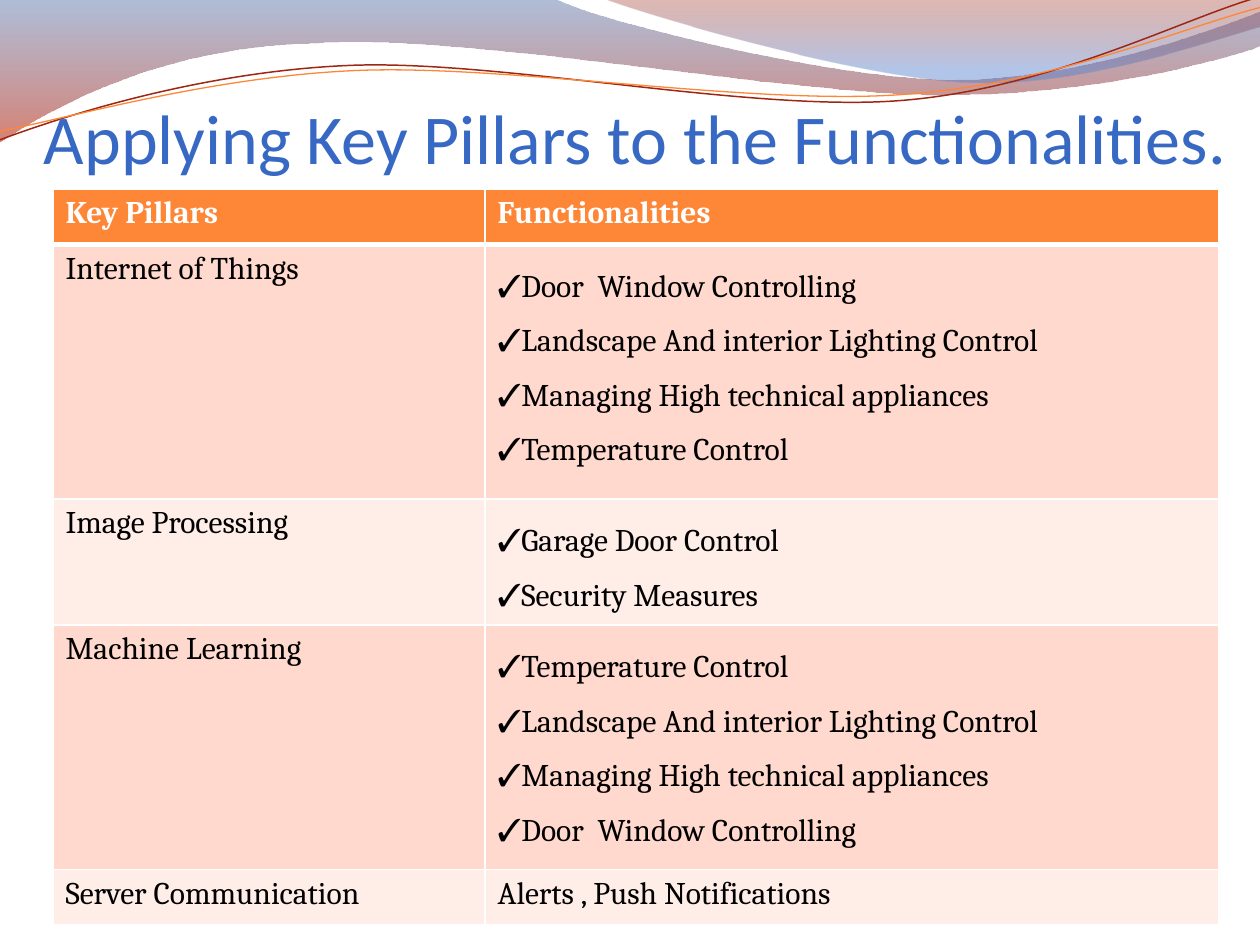
from dataclasses import dataclass

from lxml import etree
from pptx import Presentation
from pptx import util as u
from pptx.dml.color import RGBColor
from pptx.enum import text
from pptx.oxml.ns import qn


@dataclass(frozen=True)
class Theme:
    title_font: str = "Calibri"
    body_font: str = "Cambria"
    title_size: int = 40
    body_size: int = 18
    title: str = "3668C4"
    white: str = "FFFFFF"
    black: str = "000000"
    orange: str = "FE8637"
    dark_red: str = "9E2713"
    bands: tuple = ("FFD9CE", "FFEDE8")
    # Gradient stops: position, colour, opacity, all but colour in percent
    wide_wave: tuple = ((0, "4F6EA8", 45), (100, "B61A00", 55))
    corner_wave: tuple = ((0, "951500", 30), (80, "5681D1", 45))


THEME = Theme()

# Each outline is a start point, then points (two numbers)
# or Bezier segments (six numbers), in inches.
WIDE_WAVE = [
    (0, 0), (4.4, -0.01),
    (4.76, 0.17, 6.64, 0.63, 7.58, 0.63), (8.53, 0.63, 9.58, 0.26, 10, 0.09),
    (10.01, 0.36),
    (9.83, 0.44, 8.7, 0.76, 7.46, 0.75), (6.22, 0.75, 3.82, 0.28, 2.57, 0.34),
    (1.29, 0.36, 0.46, 0.83, -0.01, 1.13), (0, 0),
]
CORNER_WAVE = [
    (4.79, -0.01),
    (5.09, 0.11, 6.82, 0.62, 7.69, 0.65), (8.56, 0.69, 9.61, 0.32, 10, 0.21),
    (10, 0), (4.79, -0.01),
]
RED_LINE = [
    (0, 1.11),
    (0.48, 0.93, 1.58, 0.57, 2.77, 0.52), (3.95, 0.47, 5.93, 0.89, 7.13, 0.8),
    (8.33, 0.71, 9.38, 0.15, 9.98, -0.02),
]
ORANGE_LINE = [
    (0, 1.04),
    (0.47, 0.96, 1.64, 0.61, 2.83, 0.56), (4.03, 0.51, 5.97, 0.84, 7.17, 0.75),
    (8.36, 0.67, 9.41, 0.21, 10, 0.06),
]

DOORS = "Door  Window Controlling"
LIGHTING = "Landscape And interior Lighting Control"
APPLIANCES = "Managing High technical appliances"
TEMPERATURE = "Temperature Control"
HEADER = ("Key Pillars", "Functionalities")
# A list becomes check-marked lines, a string a plain line.
PILLARS = [
    ("Internet of Things", [DOORS, LIGHTING, APPLIANCES, TEMPERATURE]),
    ("Image Processing", ["Garage Door Control", "Security Measures"]),
    ("Machine Learning", [TEMPERATURE, LIGHTING, APPLIANCES, DOORS]),
    ("Server Communication", "Alerts , Push Notifications"),
]
COLUMN_WIDTHS = (3.43, 5.82)
ROW_HEIGHTS = (0.44, 2.02, 0.62, 1.94, 0.44)


def rgb(value):
    return RGBColor.from_string(value)


def bend(shape, segments):
    """Merge the three straight lines of each six-number segment into a Bezier."""
    lines = iter(list(shape._element.iter(qn("a:lnTo"))))
    for segment in segments:
        first = next(lines)
        if len(segment) == 6:
            first.tag = qn("a:cubicBezTo")
            for line in (next(lines), next(lines)):
                first.append(line[0])
                line.getparent().remove(line)


def write(frame, lines, *, font, size, color, bold=False, align=None,
          spacing=None, bullet=None):
    """Fill a text frame with one paragraph per line."""
    for index, line in enumerate(lines):
        paragraph = frame.add_paragraph() if index else frame.paragraphs[0]
        paragraph.alignment = align
        paragraph.line_spacing = spacing
        run = paragraph.add_run()
        run.text = line
        run.font.name, run.font.size, run.font.bold = font, u.Pt(size), bold
        run.font.color.rgb = rgb(color)
        if bullet:
            properties = paragraph._p.get_or_add_pPr()
            properties.set("marL", "0")
            properties.set("indent", "0")
            etree.SubElement(properties, qn("a:buFont")).set("typeface", font)
            etree.SubElement(properties, qn("a:buChar")).set("char", bullet)


def set_borders(cell, color, **widths):
    """Draw the cell edges L, R, T and B with the given widths in points."""
    properties = cell._tc.get_or_add_tcPr()
    for index, (edge, width) in enumerate(widths.items()):
        line = etree.Element(qn(f"a:ln{edge}"), w=str(u.Pt(width)))
        fill = etree.SubElement(line, qn("a:solidFill"))
        etree.SubElement(fill, qn("a:srgbClr")).set("val", color)
        properties.insert(index, line)


class SlideBuilder:
    def __init__(self, slide, theme):
        self.slide = slide
        self.theme = theme

    def freeform(self, outline, close):
        points = [(u.Inches(part[i]), u.Inches(part[i + 1]))
                  for part in outline for i in range(0, len(part), 2)]
        builder = self.slide.shapes.build_freeform(*points[0])
        builder.add_line_segments(points[1:], close=close)
        shape = builder.convert_to_shape()
        bend(shape, outline[1:])
        shape.shadow.inherit = False
        return shape

    def wave(self, outline, stops):
        shape = self.freeform(outline, close=True)
        shape.line.fill.background()
        shape.fill.gradient()
        shape.fill.gradient_angle = 270
        for stop, (position, color, _) in zip(shape.fill.gradient_stops, stops):
            stop.position = position / 100
            stop.color.rgb = rgb(color)
        colors = shape._element.spPr.iter(qn("a:srgbClr"))
        for element, (_, _, opacity) in zip(list(colors), stops):
            etree.SubElement(element, qn("a:alpha")).set("val", str(opacity * 1000))

    def curve(self, outline, color, width):
        shape = self.freeform(outline, close=False)
        shape.fill.background()
        shape.line.color.rgb = rgb(color)
        shape.line.width = u.Pt(width)

    def title(self, wording, left, top, width, height):
        box = self.slide.shapes.add_textbox(*map(u.Inches, (left, top, width, height)))
        frame = box.text_frame
        frame.word_wrap = True
        frame.vertical_anchor = text.MSO_ANCHOR.BOTTOM
        frame.margin_left = frame.margin_right = frame.margin_bottom = 0
        frame.margin_top = u.Inches(0.05)
        write(frame, [wording], font=self.theme.title_font, size=self.theme.title_size,
              color=self.theme.title, align=text.PP_ALIGN.CENTER)

    def table(self, rows, left, top, column_widths, row_heights):
        theme = self.theme
        size = map(u.Inches, (left, top, sum(column_widths), sum(row_heights)))
        table = self.slide.shapes.add_table(len(rows), len(column_widths), *size).table
        for column, width in zip(table.columns, column_widths):
            column.width = u.Inches(width)
        for index, (row, height, contents) in enumerate(zip(table.rows, row_heights, rows)):
            row.height = u.Inches(height)
            header = index == 0
            fill = theme.orange if header else theme.bands[(index - 1) % 2]
            for cell, content in zip(row.cells, contents):
                checked = isinstance(content, list)
                cell.fill.solid()
                cell.fill.fore_color.rgb = rgb(fill)
                set_borders(cell, theme.white, L=1, R=1,
                            T=3 if index == 1 else 1, B=3 if header else 1)
                write(cell.text_frame, content if checked else [content],
                      font=theme.body_font, size=theme.body_size, bold=header,
                      color=theme.white if header else theme.black,
                      spacing=1.5 if checked else None,
                      bullet="✓" if checked else None)


def main():
    presentation = Presentation()
    presentation.slide_width, presentation.slide_height = u.Inches(10), u.Inches(7.5)
    slide = presentation.slides.add_slide(presentation.slide_layouts[6])
    builder = SlideBuilder(slide, THEME)
    builder.wave(WIDE_WAVE, THEME.wide_wave)
    builder.wave(CORNER_WAVE, THEME.corner_wave)
    builder.curve(RED_LINE, THEME.dark_red, 0.85)
    builder.curve(ORANGE_LINE, THEME.orange, 0.75)
    builder.title("Applying Key Pillars to the Functionalities.", 0.33, 0.67, 9.42, 0.75)
    builder.table([HEADER, *PILLARS], 0.42, 1.5, COLUMN_WIDTHS, ROW_HEIGHTS)
    presentation.save("out.pptx")


if __name__ == "__main__":
    main()
